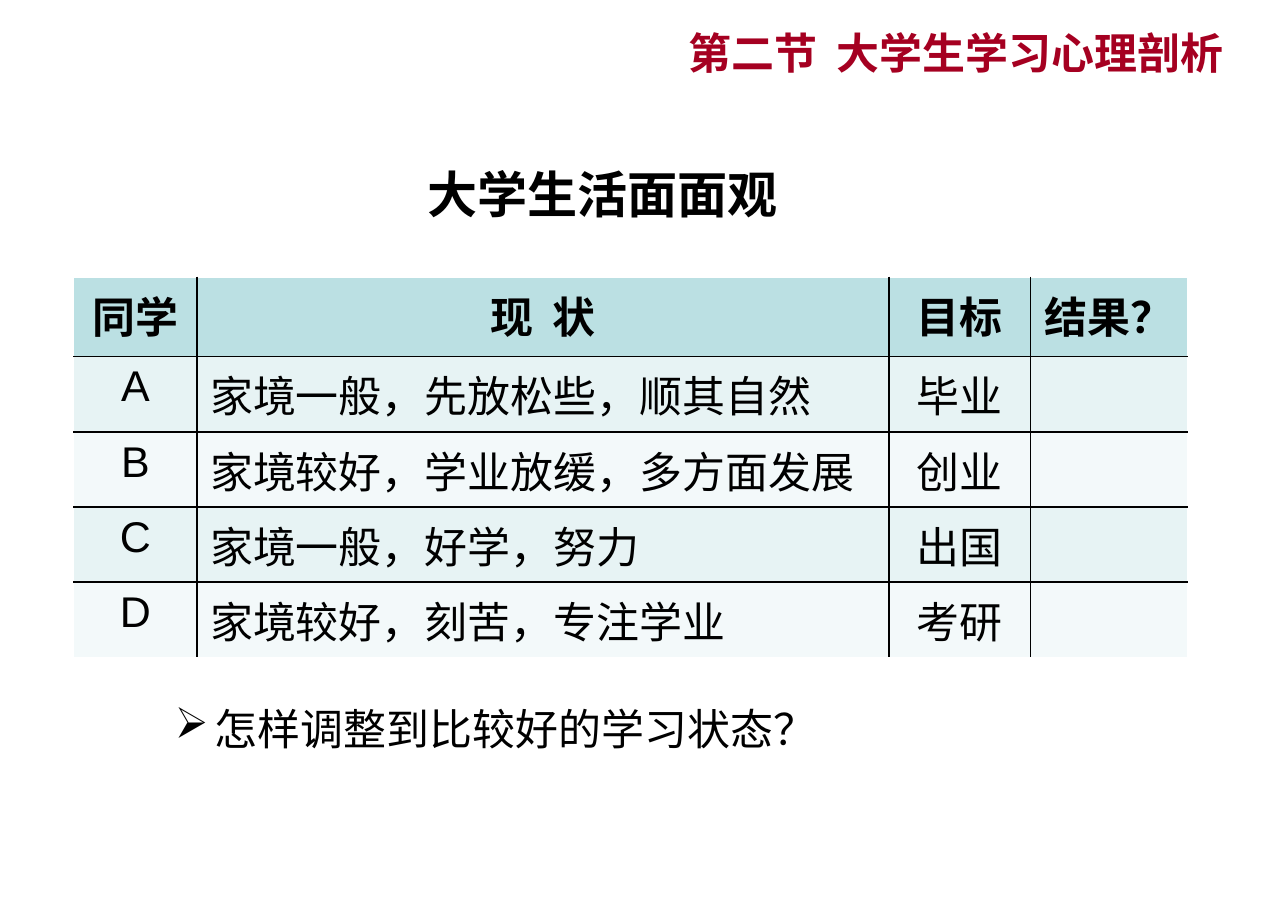
from lxml import etree
from pptx import Presentation
from pptx.dml.color import RGBColor
from pptx.enum import text
from pptx.oxml import ns
from pptx.util import Cm, Pt

BLACK, WHITE, CRIMSON = "000000", "FFFFFF", "A50021"
HEADER_FILL, BAND_FILLS = "BBE0E3", ("E7F3F4", "F3F9FA")
CJK_FONT = "Noto Sans CJK SC"
LEFT, CENTER, RIGHT = text.PP_ALIGN.LEFT, text.PP_ALIGN.CENTER, text.PP_ALIGN.RIGHT

COLUMN_WIDTHS = (2.44, 13.64, 2.79, 3.1)
HEADER_HEIGHT, ROW_HEIGHT = 1.57, 1.37
STUDENTS = [
    ("同学", "现  状", "目标", "结果？"),
    ("A", "家境一般，先放松些，顺其自然", "毕业", ""),
    ("B", "家境较好，学业放缓，多方面发展", "创业", ""),
    ("C", "家境一般，好学，努力", "出国", ""),
    ("D", "家境较好，刻苦，专注学业", "考研", ""),
]


def color(value):
    return RGBColor.from_string(value)


def add_run(paragraph, words, size=24, bold=False, ink=BLACK, font="Arial"):
    run = paragraph.add_run()
    run.text = words
    run.font.name = font
    run.font.size = Pt(size)
    run.font.bold = bold
    run.font.color.rgb = color(ink)
    east_asian = etree.SubElement(run.font._element, ns.qn("a:ea"))
    east_asian.set("typeface", CJK_FONT)


def add_text(slide, left, top, width, height, words, align=LEFT,
             anchor=text.MSO_ANCHOR.TOP, bullet=None, **style):
    frame = slide.shapes.add_textbox(Cm(left), Cm(top), Cm(width), Cm(height)).text_frame
    frame.word_wrap = True
    frame.vertical_anchor = anchor
    paragraph = frame.paragraphs[0]
    paragraph.alignment = align
    if bullet:
        add_bullet(paragraph, bullet)
    add_run(paragraph, words, **style)


def add_bullet(paragraph, mark):
    properties = paragraph._p.get_or_add_pPr()
    properties.set("marL", str(Cm(0.79)))
    properties.set("indent", str(-Cm(0.79)))
    bullet_color = etree.SubElement(properties, ns.qn("a:buClr"))
    etree.SubElement(bullet_color, ns.qn("a:srgbClr")).set("val", BLACK)
    etree.SubElement(properties, ns.qn("a:buChar")).set("char", mark)


def set_borders(cell, outer_sides):
    """White hairlines on the table's outer sides, black rules inside."""
    properties = cell._tc.get_or_add_tcPr()
    for position, side in enumerate("LRTB"):
        ink, weight = (WHITE, 0.45) if side in outer_sides else (BLACK, 1.08)
        line = etree.Element(ns.qn(f"a:ln{side}"), w=str(Pt(weight)))
        fill = etree.SubElement(line, ns.qn("a:solidFill"))
        etree.SubElement(fill, ns.qn("a:srgbClr")).set("val", ink)
        properties.insert(position, line)


def add_student_table(slide, left, top):
    heights = [HEADER_HEIGHT] + [ROW_HEIGHT] * (len(STUDENTS) - 1)
    table = slide.shapes.add_table(
        len(STUDENTS), len(COLUMN_WIDTHS), Cm(left), Cm(top),
        Cm(sum(COLUMN_WIDTHS)), Cm(sum(heights))).table
    for column, width in zip(table.columns, COLUMN_WIDTHS):
        column.width = Cm(width)

    last_row, last_column = len(STUDENTS) - 1, len(COLUMN_WIDTHS) - 1
    for r, student in enumerate(STUDENTS):
        table.rows[r].height = Cm(heights[r])
        for c, words in enumerate(student):
            cell = table.cell(r, c)
            cell.fill.solid()
            cell.fill.fore_color.rgb = color(BAND_FILLS[(r - 1) % 2] if r else HEADER_FILL)
            edges = {"L": c == 0, "R": c == last_column, "T": r == 0, "B": r == last_row}
            set_borders(cell, [side for side, outer in edges.items() if outer])
            if words:
                paragraph = cell.text_frame.paragraphs[0]
                paragraph.alignment = LEFT if r and c == 1 else CENTER
                add_run(paragraph, words, bold=r == 0)


def main():
    deck = Presentation()
    deck.slide_width, deck.slide_height = Cm(25.4), Cm(18)
    slide = deck.slides.add_slide(deck.slide_layouts[6])

    # Table of students
    add_student_table(slide, 1.45, 5.46)

    # Title and section heading
    add_text(slide, 8.18, 3.1, 7.82, 1.45, "大学生活面面观", size=28, bold=True)
    add_text(slide, 7.47, 0.36, 17.09, 1.35, "第二节  大学生学习心理剖析 ", align=RIGHT,
             anchor=text.MSO_ANCHOR.MIDDLE, bold=True, ink=CRIMSON, font=CJK_FONT)

    # Closing question
    add_text(slide, 3.2, 13.72, 13.49, 1.27, "怎样调整到比较好的学习状态？", bullet="➢")

    deck.save("out.pptx")


if __name__ == "__main__":
    main()
